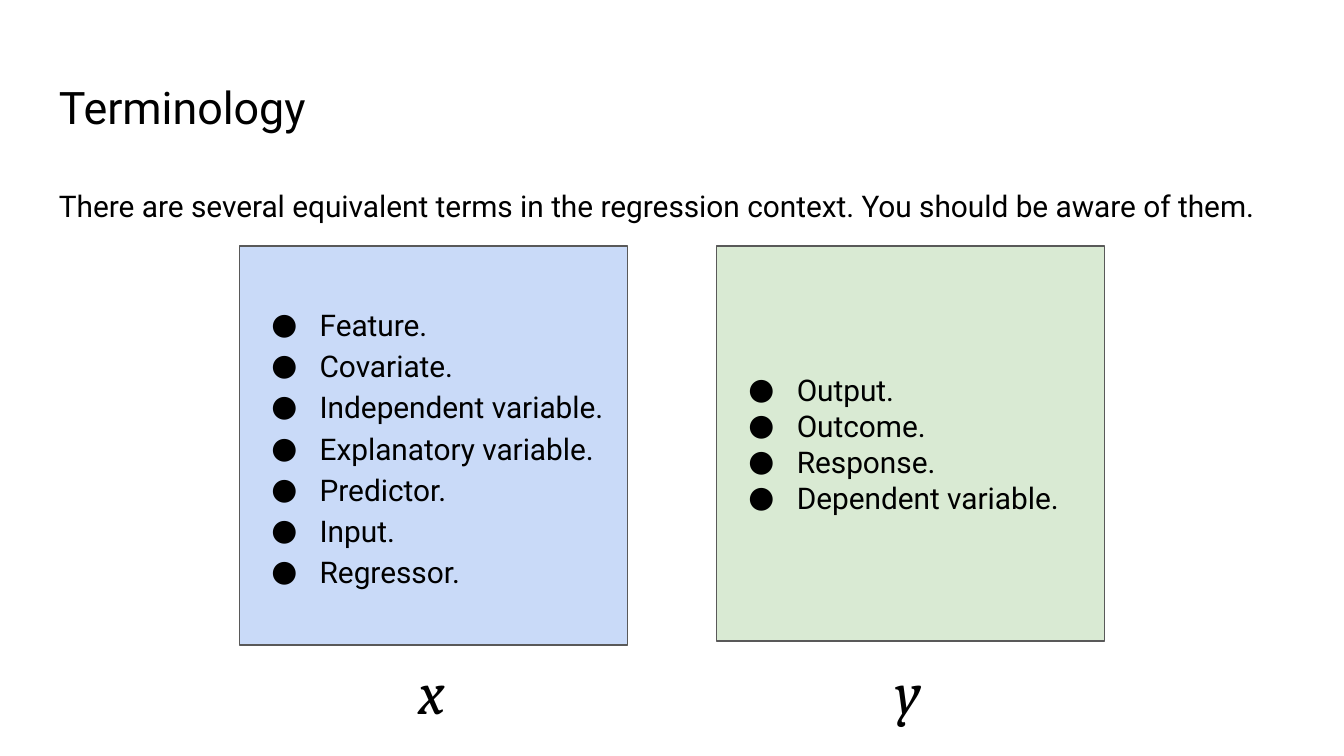
from lxml.etree import SubElement
from pptx import Presentation
from pptx.dml.color import RGBColor
from pptx.enum.lang import MSO_LANGUAGE_ID as LANG
from pptx.enum.shapes import MSO_SHAPE as SHAPE
from pptx.enum.text import MSO_ANCHOR as ANCHOR, PP_ALIGN as ALIGN
from pptx.oxml.ns import qn
from pptx.util import Inches, Pt

W = Inches(10)
H = W * 9 // 16
BLACK, GREY, BLUE, GREEN = "000000", "595959", "C9DAF8", "D9EAD3"
BODY = {"name": "Roboto", "size": Pt(16), "language_id": LANG.ENGLISH_US}
TITLE = BODY | {"size": Pt(24)}
SYMBOL = BODY | {"name": "Cambria", "size": Pt(32), "italic": True}
LOOSE = {"line_spacing": 1.15}
SPACED = LOOSE | {"space_after": Pt(8)}
FRAME = {"word_wrap": True} | {f"margin_{side}": Inches(0.1) for side in ("left", "top", "right", "bottom")}
TEXT_LEFT, TEXT_WIDTH = 3.4, 93.2
PANEL_TOP, PANEL_WIDTH = 32.53, 28.9
SYMBOL_TOP, SYMBOL_WIDTH, SYMBOL_HEIGHT = 83.38, 4.2, 12.09
PANELS = [
    (17.8, 52.8, BLUE, "x", LOOSE, ["Feature.", "Covariate.", "Independent variable.",
                                    "Explanatory variable.", "Predictor.", "Input.", "Regressor."]),
    (53.3, 52.27, GREEN, "y", {}, ["Output.", "Outcome.", "Response.", "Dependent variable."]),
]


def rgb(value):
    """Turn a hex string into a colour."""
    return RGBColor.from_string(value)


def apply(obj, values):
    """Set attributes from a dict of format values."""
    for name, value in values.items():
        setattr(obj, name, value)


def place(box):
    """Convert a box in percent of the slide to lengths."""
    return [round(share * side / 100) for share, side in zip(box, (W, H, W, H))]


def add_bullet(p):
    """Give a paragraph a hanging round bullet."""
    pPr = p._p.get_or_add_pPr()
    pPr.set("marL", str(Inches(0.5)))
    pPr.set("indent", str(Inches(-0.36)))
    SubElement(SubElement(pPr, qn("a:buClr")), qn("a:srgbClr"), val=BLACK)
    SubElement(pPr, qn("a:buFont"), typeface="Roboto")
    SubElement(pPr, qn("a:buChar"), char="●")


def write(tf, lines, font, para, bullets=False):
    """Fill a text frame with one paragraph per line."""
    apply(tf, FRAME)
    for i, line in enumerate(lines):
        p = tf.add_paragraph() if i else tf.paragraphs[0]
        apply(p, {"alignment": ALIGN.LEFT} | para)
        if bullets:
            add_bullet(p)
        r = p.add_run()
        r.text = line
        apply(r.font, font)
        r.font.color.rgb = rgb(BLACK)


def add_label(s, box, text, font, para):
    """Place a single line of text in a box."""
    write(s.shapes.add_textbox(*place(box)).text_frame, [text], font, para)


def add_panel(s, box, fill, symbol, para, terms):
    """Place a filled list of terms with its symbol centred below."""
    left, _, width, _ = box
    sp = s.shapes.add_shape(SHAPE.RECTANGLE, *place(box))
    sp.shadow.inherit = False
    sp.fill.solid()
    sp.fill.fore_color.rgb = rgb(fill)
    sp.line.color.rgb = rgb(GREY)
    sp.line.width = Pt(0.75)
    sp.text_frame.vertical_anchor = ANCHOR.MIDDLE
    write(sp.text_frame, terms, BODY, para, bullets=True)
    symbol_left = left + (width - SYMBOL_WIDTH) / 2
    add_label(s, (symbol_left, SYMBOL_TOP, SYMBOL_WIDTH, SYMBOL_HEIGHT), symbol, SYMBOL, SPACED)


def main():
    """Build and save the slide."""
    prs = Presentation()
    apply(prs, {"slide_width": W, "slide_height": H})
    s = prs.slides.add_slide(prs.slide_layouts[6])
    add_label(s, (TEXT_LEFT, 8.71, TEXT_WIDTH, 11.2), "Terminology", TITLE, {})
    for left, height, fill, symbol, para, terms in PANELS:
        add_panel(s, (left, PANEL_TOP, PANEL_WIDTH, height), fill, symbol, para, terms)
    add_label(s, (TEXT_LEFT, 22.4, TEXT_WIDTH, 14.04), "There are several equivalent terms in the "
              "regression context. You should be aware of them.", BODY, SPACED)
    prs.save("out.pptx")


if __name__ == "__main__":
    main()
